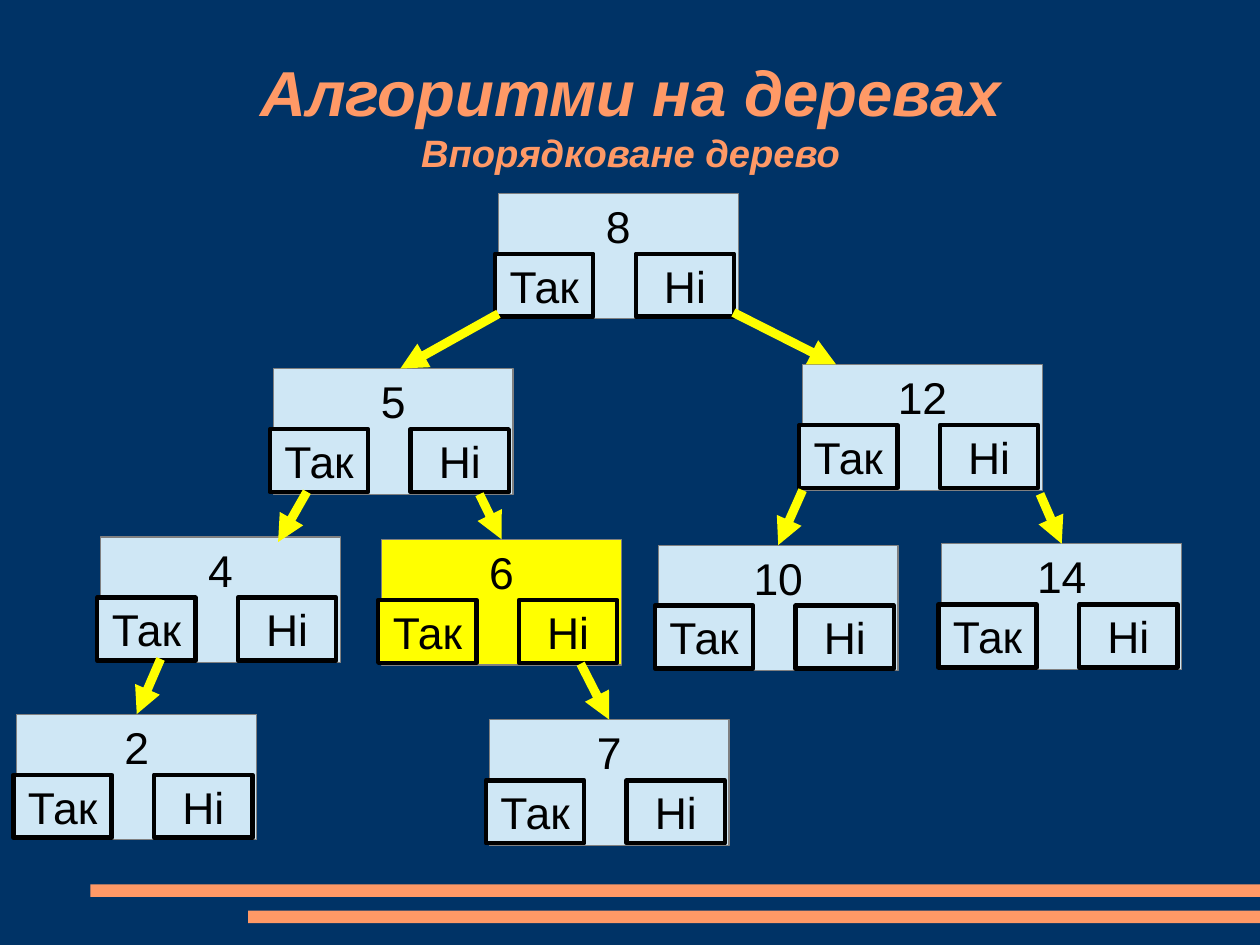
from copy import deepcopy

from lxml import etree
from pptx import Presentation
from pptx.dml.color import RGBColor
from pptx.enum.shapes import MSO_CONNECTOR, MSO_SHAPE
from pptx.enum.text import MSO_ANCHOR, PP_ALIGN
from pptx.oxml.ns import qn
from pptx.util import Cm, Inches, Pt

RECT, STRAIGHT = MSO_SHAPE.RECTANGLE, MSO_CONNECTOR.STRAIGHT
TOP, MIDDLE, CENTER = MSO_ANCHOR.TOP, MSO_ANCHOR.MIDDLE, PP_ALIGN.CENTER
TOP_SITE = 0

# Content: places and sizes are percentages of the slide's width and height
HEADING, SUBHEADING = "Алгоритми на деревах", "Впорядковане дерево"
TITLE_AREA = (7.35, 3.75, 85.39, 16.69)
STRIPES = [(7.17, 93.59, 92.83, 1.33), (19.69, 96.37, 80.31, 1.33)]
NODES = {
    8: (39.56, 20.44),
    5: (21.69, 39.0), 12: (63.7, 38.57),
    4: (7.99, 56.83), 6: (30.29, 57.07), 10: (52.25, 57.68), 14: (74.75, 57.54),
    2: (1.34, 75.57), 7: (38.84, 76.16),
}
NODE_SIZE = (19.03, 13.3)
HIGHLIGHTED = 6

# Answer boxes, measured from the corner of their node
ANSWERS = [("Ні", (10.9, 6.42)), ("Так", (-0.27, 6.42))]
ANSWER_SIZE = (7.8, 6.65)

# Shares of a node: where a branch leaves the parent and meets the child
TOP_MIDDLE = (0.5, 0)
BRANCHES = [
    (8, 5, (0, 0.96), (0.53, 0)),
    (8, 12, (0.98, 0.95), (0.14, 0)),
    (5, 4, (0.14, 0.98), (0.74, 0.04)),
    (5, 6, (0.86, 1), TOP_MIDDLE),
    (12, 10, (0, 1), TOP_MIDDLE),
    (12, 14, (0.99, 1.03), TOP_MIDDLE),
    (4, 2, (0.25, 0.97), TOP_MIDDLE),
    (6, 7, (0.83, 0.99), TOP_MIDDLE),
]

THEME = {
    "font": "Arial",
    "background": RGBColor.from_string("003366"),
    "accent": RGBColor.from_string("FF9966"),
    "node": RGBColor.from_string("CFE7F5"),
    "highlight": RGBColor.from_string("FFFF00"),
    "edge": RGBColor.from_string("808080"),
    "ink": RGBColor.from_string("000000"),
    "heading": Pt(40), "subheading": Pt(24), "label": Pt(28),
    "hairline": Pt(0), "answer_line": Pt(2.83), "branch_line": Pt(5.67),
}
NODE_FRAME = {
    "vertical_anchor": TOP, "word_wrap": True,
    "margin_left": Inches(0.1), "margin_right": Inches(0.1),
    "margin_top": Inches(0.05), "margin_bottom": Inches(0.05),
}
ANSWER_FRAME = {
    "vertical_anchor": MIDDLE, "word_wrap": False,
    "margin_left": Inches(0.12), "margin_right": Inches(0.12),
    "margin_top": Inches(0.07), "margin_bottom": Inches(0.07),
}
TITLE_FRAME = {
    "vertical_anchor": MIDDLE, "word_wrap": True,
    "margin_left": 0, "margin_right": 0, "margin_top": 0, "margin_bottom": 0,
}

deck = Presentation()
deck.slide_width, deck.slide_height = Cm(28), Cm(21)


def to_slide(*percentages):
    """Turn alternating horizontal and vertical percentages into lengths."""
    extents = (deck.slide_width, deck.slide_height)
    return [round(p * extents[i % 2] / 100) for i, p in enumerate(percentages)]


def apply(target, values):
    for key, value in values.items():
        setattr(target, key, value)


def write(paragraph, text, size, color, **emphasis):
    paragraph.alignment = CENTER
    run = paragraph.add_run()
    run.text = text
    apply(run.font, {"name": THEME["font"], "size": size, **emphasis})
    run.font.color.rgb = color
    return run


def add_box(shapes, area, fill, edge=None, width=None):
    box = shapes.add_shape(RECT, *area)
    box.shadow.inherit = False
    box.fill.solid()
    box.fill.fore_color.rgb = fill
    if edge is None:
        box.line.fill.background()
    else:
        box.line.color.rgb = edge
        box.line.width = width
    return box


def point_on(number, share):
    corner = NODES[number]
    return to_slide(*(c + s * n for c, s, n in zip(corner, share, NODE_SIZE)))


def add_node(slide, number):
    """Draw a number with its two answers as one group; return the large box."""
    group = slide.shapes.add_group_shape().shapes
    fill = THEME["highlight" if number == HIGHLIGHTED else "node"]
    left, top = NODES[number]
    node = add_box(group, to_slide(left, top, *NODE_SIZE),
                   fill, THEME["edge"], THEME["hairline"])
    labels = [(node, str(number), NODE_FRAME)]
    for answer, (right, down) in ANSWERS:
        box = add_box(group, to_slide(left + right, top + down, *ANSWER_SIZE),
                      fill, THEME["ink"], THEME["answer_line"])
        labels.append((box, answer, ANSWER_FRAME))
    for box, text, frame in labels:
        apply(box.text_frame, frame)
        write(box.text_frame.paragraphs[0], text, THEME["label"], THEME["ink"])
    return node


def add_branch(slide, nodes, parent, child, start, end):
    branch = slide.shapes.add_connector(
        STRAIGHT, *point_on(parent, start), *point_on(child, end))
    if end == TOP_MIDDLE:
        branch.end_connect(nodes[child], TOP_SITE)
    branch.line.color.rgb = THEME["highlight"]
    branch.line.width = THEME["branch_line"]
    line = branch.line._get_or_add_ln()
    etree.SubElement(line, qn("a:tailEnd"), type="triangle")
    etree.SubElement(branch._element.spPr, qn("a:effectLst"))


def add_title(slide):
    title = slide.shapes.title
    apply(title, dict(zip(("left", "top", "width", "height"), to_slide(*TITLE_AREA))))
    apply(title.text_frame, TITLE_FRAME)
    paragraph = title.text_frame.paragraphs[0]
    style = {"color": THEME["accent"], "bold": True, "italic": True}
    heading = write(paragraph, HEADING, THEME["heading"], **style)
    paragraph.add_line_break()
    # The break takes the heading's format, so the first line keeps its height
    paragraph._p.find(qn("a:br")).append(deepcopy(heading._r.rPr))
    write(paragraph, SUBHEADING, THEME["subheading"], **style)


def main():
    slide = deck.slides.add_slide(deck.slide_layouts[5])
    slide.background.fill.solid()
    slide.background.fill.fore_color.rgb = THEME["background"]
    for stripe in STRIPES:
        add_box(slide.shapes, to_slide(*stripe), THEME["accent"])
    add_title(slide)
    nodes = {number: add_node(slide, number) for number in NODES}
    for branch in BRANCHES:
        add_branch(slide, nodes, *branch)
    deck.save("out.pptx")


if __name__ == "__main__":
    main()
